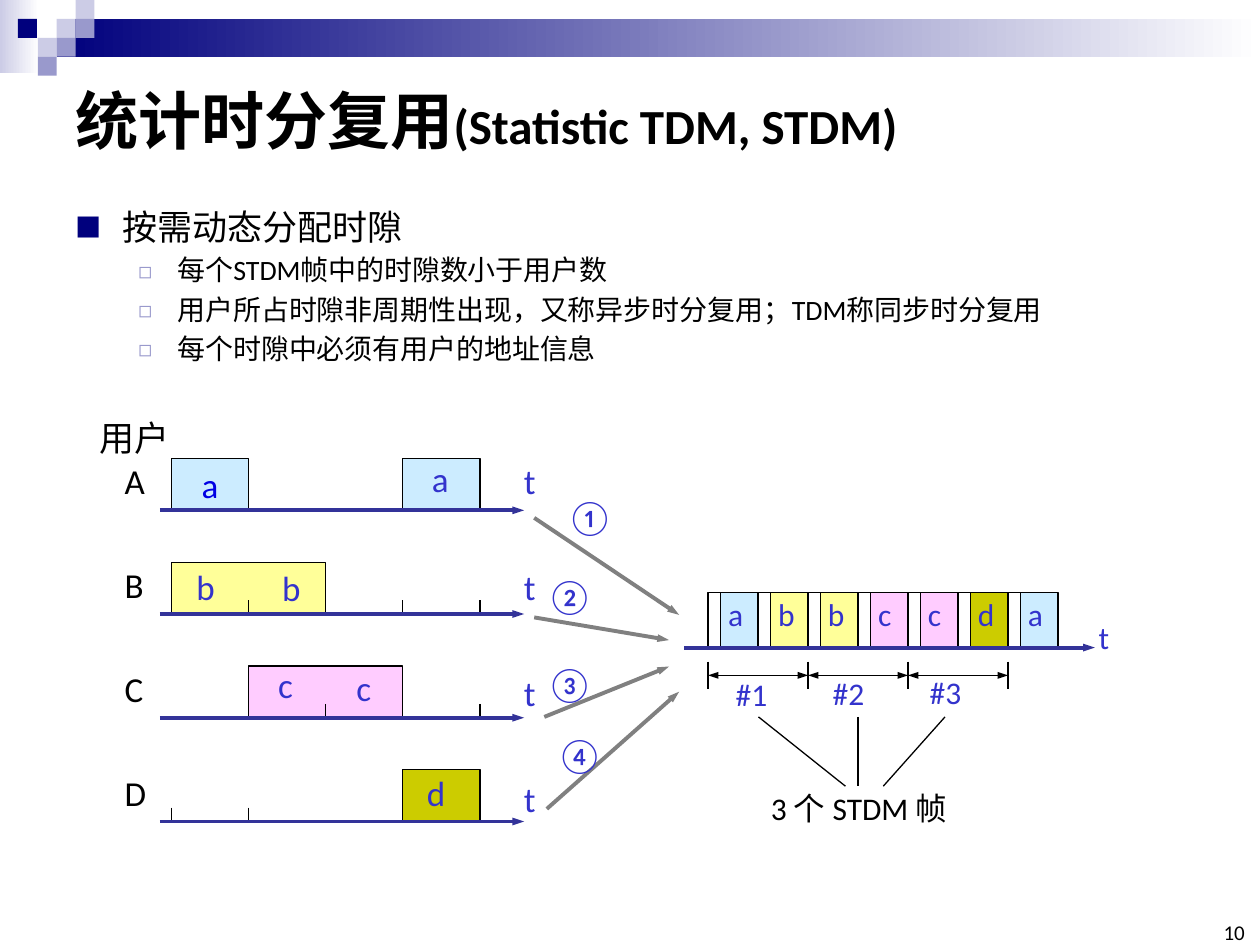
from lxml.etree import SubElement
from pptx import Presentation
from pptx.dml.color import RGBColor
from pptx.enum.shapes import MSO_CONNECTOR as Connector, MSO_SHAPE as Shape
from pptx.enum.text import MSO_ANCHOR as Anchor, MSO_AUTO_SIZE as AutoSize, PP_ALIGN as Align
from pptx.oxml.ns import qn
from pptx.util import Inches, Pt

BLACK = RGBColor(0x00, 0x00, 0x00)
WHITE = RGBColor(0xFF, 0xFF, 0xFF)
NAVY = RGBColor(0x00, 0x00, 0x7D)
LAVENDER = RGBColor(0xCC, 0xCC, 0xE6)
PERIWINKLE = RGBColor(0x99, 0x99, 0xCC)
AXIS_BLUE = RGBColor(0x33, 0x33, 0x99)
LABEL_BLUE = RGBColor(0x33, 0x33, 0xCC)
BRIGHT_BLUE = RGBColor(0x00, 0x00, 0xE4)
GRAY = RGBColor(0x80, 0x80, 0x80)
USER_COLORS = {
    "a": RGBColor(0xCC, 0xEC, 0xFF),
    "b": RGBColor(0xFF, 0xFF, 0x99),
    "c": RGBColor(0xFF, 0xCC, 0xFF),
    "d": RGBColor(0xCC, 0xCC, 0x00),
}
LATIN, CJK = "Calibri", "Noto Sans CJK SC"

USER_LEFT, USER_PITCH = 1.36, (3.81 - 1.36) / 4
USER_TOP, ROW_PITCH, SLOT_HEIGHT = 4.05, (6.52 - 4.05) / 3, 0.41
FRAME_LEFT, FRAME_PITCH = 5.62, (8.0 - 5.62) / 6
FRAME_BASE, FRAME_HEIGHT, ADDRESS_WIDTH = 5.14, 0.44, 0.1
TICK = 0.11
TILE = 0.15


def user_x(column):
    return USER_LEFT + column * USER_PITCH


def user_y(row):
    return USER_TOP + row * ROW_PITCH


def frame_x(index):
    return FRAME_LEFT + index * FRAME_PITCH


def style(paragraph, size, color, font=LATIN):
    paragraph.font.size = Pt(size)
    paragraph.font.name = font
    paragraph.font.color.rgb = color


def label(slide, text, left, top, width, size=20, color=LABEL_BLUE, wrap=False):
    height = 0.44 if size == 20 else 0.4
    box = slide.shapes.add_textbox(Inches(left), Inches(top), Inches(width), Inches(height))
    frame = box.text_frame
    frame.word_wrap = wrap
    frame.auto_size = AutoSize.SHAPE_TO_FIT_TEXT
    frame.text = text
    style(frame.paragraphs[0], size, color)


def line(slide, start, end, color=BLACK, width=0.75, heads=()):
    points = [Inches(value) for value in (*start, *end)]
    connector = slide.shapes.add_connector(Connector.STRAIGHT, *points)
    connector.line.color.rgb = color
    connector.line.width = Pt(width)
    outline = connector.line._get_or_add_ln()
    for head in heads:
        SubElement(outline, qn("a:" + head), type="triangle", w="sm", len="med")
    SubElement(connector._element.spPr, qn("a:effectLst"))


def slot(slide, left, base, width, height, color=None, text=""):
    builder = slide.shapes.build_freeform(Inches(left), Inches(base), scale=1.0)
    corners = [(left, base - height), (left + width, base - height), (left + width, base)]
    builder.add_line_segments([(Inches(x), Inches(y)) for x, y in corners], close=False)
    outline = builder.convert_to_shape()
    outline.shadow.inherit = False
    outline.line.color.rgb = BLACK
    outline.line.width = Pt(0.75)
    if color is None:
        outline.fill.background()
    else:
        outline.fill.solid()
        outline.fill.fore_color.rgb = color
    if text:
        frame = outline.text_frame
        frame.margin_top = frame.margin_bottom = 0
        frame.vertical_anchor = Anchor.MIDDLE
        frame.text = text
        frame.paragraphs[0].alignment = Align.CENTER
        style(frame.paragraphs[0], 20, BRIGHT_BLUE)


def banner_block(slide, left, top, width, height, color, fade=False):
    block = slide.shapes.add_shape(
        Shape.RECTANGLE, Inches(left), Inches(top), Inches(width), Inches(height))
    block.shadow.inherit = False
    block.line.fill.background()
    if fade:
        block.fill.gradient()
        block.fill.gradient_angle = 0
        for stop, shade in zip(block.fill.gradient_stops, (color, WHITE)):
            stop.color.rgb = shade
    else:
        block.fill.solid()
        block.fill.fore_color.rgb = color


def add_banner(slide):
    banner_block(slide, 0, 0, 0.31, 0.58, LAVENDER, fade=True)
    banner_block(slide, 3 * TILE, TILE, 9.55, 0.3, NAVY, fade=True)
    tiles = [(3, 1, LAVENDER), (4, 0, LAVENDER), (4, 1, PERIWINKLE), (2, 2, LAVENDER),
             (0.95, 1, NAVY), (3, 2, PERIWINKLE), (2, 3, PERIWINKLE)]
    for column, row, color in tiles:
        banner_block(slide, column * TILE, row * TILE, TILE, TILE, color)


def add_title(slide):
    title = slide.shapes.title
    title.left, title.top, title.width, title.height = map(Inches, (0.5, 0.5, 9, 0.89))
    frame = title.text_frame
    frame.vertical_anchor = Anchor.MIDDLE
    paragraph = frame.paragraphs[0]
    paragraph.alignment = Align.LEFT
    parts = [("统计时分复用", 36, CJK), ("(Statistic TDM, STDM)", 28, LATIN)]
    for text, size, font in parts:
        run = paragraph.add_run()
        run.text = text
        run.font.bold = True
        style(run, size, BLACK, font)


def add_bullet(paragraph, text, size, margin, indent, mark, mark_color, mark_size):
    paragraph.text = text
    paragraph.space_before = Pt(size * 0.2)
    properties = paragraph._p.get_or_add_pPr()
    properties.set("marL", str(Inches(margin)))
    properties.set("indent", str(Inches(-indent)))
    tint = SubElement(properties, qn("a:buClr"))
    SubElement(tint, qn("a:srgbClr"), val=str(mark_color))
    SubElement(properties, qn("a:buSzPct"), val=str(mark_size * 1000))
    SubElement(properties, qn("a:buFont"), typeface=CJK)
    SubElement(properties, qn("a:buChar"), char=mark)
    style(paragraph, size, BLACK)


def add_points(slide):
    frame = slide.shapes.add_textbox(
        Inches(0.5), Inches(1.58), Inches(9.15), Inches(0.55)).text_frame
    frame.word_wrap = True
    add_bullet(frame.paragraphs[0], "按需动态分配时隙", 20, 0.37, 0.37, "■", NAVY, 75)
    for text in ("每个STDM帧中的时隙数小于用户数",
                 "用户所占时隙非周期性出现，又称异步时分复用；TDM称同步时分复用",
                 "每个时隙中必须有用户的地址信息"):
        paragraph = frame.add_paragraph()
        paragraph.level = 1
        add_bullet(paragraph, text, 16, 0.81, 0.31, "◻", PERIWINKLE, 80)


def add_users(slide):
    label(slide, "用户", 0.69, 3.26, 0.76, color=BLACK)
    slot(slide, user_x(0), user_y(0), USER_PITCH, SLOT_HEIGHT, USER_COLORS["a"], "a")
    for user, row, column, span in (("a", 0, 3, 1), ("b", 1, 0, 2), ("c", 2, 1, 2), ("d", 3, 3, 1)):
        slot(slide, user_x(column), user_y(row), span * USER_PITCH, SLOT_HEIGHT, USER_COLORS[user])
    for column, row in ((1, 1), (3, 1), (4, 1), (2, 2), (4, 2), (0, 3), (1, 3), (3, 3)):
        line(slide, (user_x(column), user_y(row) - TICK), (user_x(column), user_y(row)))
    for row, user in enumerate("ABCD"):
        base = user_y(row)
        label(slide, user, 0.89, base - 0.45, 0.37, color=BLACK)
        label(slide, "t", 4.06, 3.6 + 0.84 * row, 0.3)
        line(slide, (1.27, base), (4.16, base), AXIS_BLUE, 2.25, ["tailEnd"])
    for text, left, top in (("a", 3.33, 3.58), ("b", 1.46, 4.44), ("b", 2.14, 4.45),
                            ("c", 2.11, 5.22), ("c", 2.73, 5.24), ("d", 3.29, 6.07)):
        label(slide, text, left, top, 0.32 if text == "c" else 0.35)


def add_merging_arrows(slide):
    steps = [("①", (4.4, 3.88), (4.24, 4.11), (5.39, 4.88)),
             ("②", (4.24, 4.51), (4.24, 4.9), (5.31, 5.08)),
             ("③", (4.24, 5.21), (4.32, 5.69), (5.31, 5.29)),
             ("④", (4.32, 5.77), (4.34, 6.42), (5.39, 5.49))]
    for number, place, start, end in steps:
        line(slide, start, end, GRAY, 2.25, ["tailEnd"])
        label(slide, number, *place, 0.48)


def add_frames(slide):
    for index, user in enumerate("abbccda"):
        left = frame_x(index)
        slot(slide, left + ADDRESS_WIDTH, FRAME_BASE, FRAME_PITCH - ADDRESS_WIDTH,
             FRAME_HEIGHT, USER_COLORS[user])
        slot(slide, left, FRAME_BASE, ADDRESS_WIDTH, FRAME_HEIGHT)
        label(slide, user, left + 0.06, 4.67, 0.31 if user == "c" else 0.33, 18)
    for x in (frame_x(2) + ADDRESS_WIDTH, frame_x(3), frame_x(6)):
        line(slide, (x, FRAME_BASE - TICK), (x, FRAME_BASE))
    line(slide, (5.43, FRAME_BASE), (8.69, FRAME_BASE), AXIS_BLUE, 2.25, ["tailEnd"])
    label(slide, "t", 8.62, 4.86, 0.29, 18)
    for boundary in range(4):
        line(slide, (frame_x(2 * boundary), 5.25), (frame_x(2 * boundary), 5.47))
    pointers = [(6.02, 6.71), (6.81, 6.81), (7.5, 7.01)]
    for number, (start, end) in enumerate(pointers):
        line(slide, (frame_x(2 * number), 5.36), (frame_x(2 * number + 2), 5.36),
             heads=["headEnd", "tailEnd"])
        label(slide, f"#{number + 1}", 5.74 + 0.77 * number, 5.31 - 0.01 * number, 0.46, 18)
        line(slide, (start, 5.69), (end, 6.24))
    label(slide, "3 个 STDM 帧", 6.02, 6.21, 1.62, 18, BLACK, wrap=True)


def add_page_number(slide):
    frame = slide.shapes.add_textbox(
        Inches(9.65), Inches(7.33), Inches(0.23), Inches(0.17)).text_frame
    frame.margin_left = frame.margin_right = frame.margin_top = frame.margin_bottom = 0
    frame.vertical_anchor = Anchor.BOTTOM
    frame.text = "10"
    frame.paragraphs[0].alignment = Align.RIGHT
    style(frame.paragraphs[0], 12, BLACK)


def main():
    deck = Presentation()
    deck.slide_width, deck.slide_height = Inches(10), Inches(7.5)
    slide = deck.slides.add_slide(deck.slide_layouts[5])
    for add_part in (add_banner, add_title, add_points, add_users,
                     add_merging_arrows, add_frames, add_page_number):
        add_part(slide)
    deck.save("out.pptx")


main()
